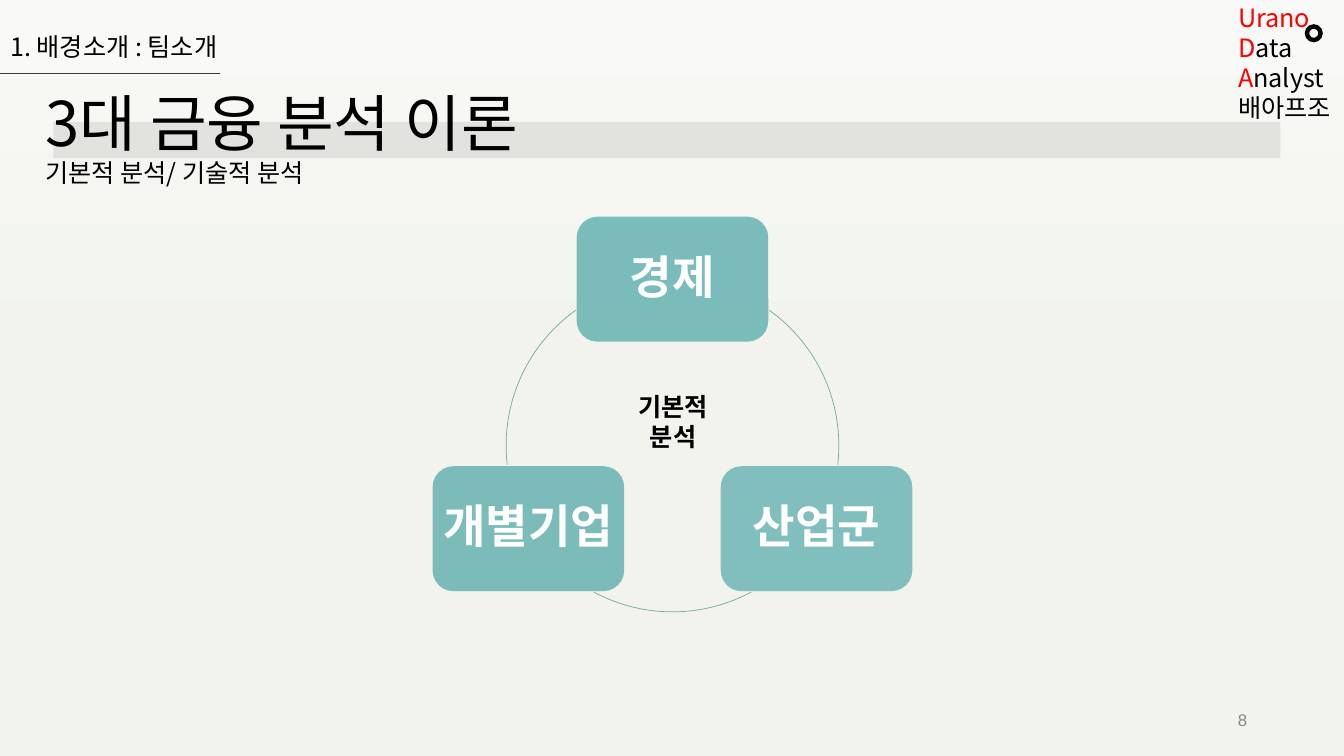
import copy
import math
from dataclasses import dataclass

import lxml.etree
import pptx
import pptx.dml.color
import pptx.enum.shapes
import pptx.enum.text
import pptx.oxml.ns
import pptx.util

Inches = pptx.util.Inches
Pt = pptx.util.Pt
qn = pptx.oxml.ns.qn
SHAPE = pptx.enum.shapes.MSO_SHAPE
ALIGN = pptx.enum.text.PP_ALIGN
ANCHOR = pptx.enum.text.MSO_ANCHOR


@dataclass(frozen=True)
class Theme:
    font: str = "Noto Sans CJK KR"
    number_font: str = "Arial"
    ink: str = "000000"
    white: str = "FFFFFF"
    accent: str = "FF0000"
    muted: str = "888888"
    node: str = "49A6A6"
    arc: str = "75A99E"
    dark: str = "3A3838"
    background: tuple = ("F9FAF7", "F1F3EC", "EFF2EA")
    title: int = 44
    label: int = 33
    text: int = 18
    small: int = 12
    hairline: float = 0.5


def rgb(value):
    return pptx.dml.color.RGBColor.from_string(value)


class SlideBuilder:
    def __init__(self, slide, theme):
        self.s = slide
        self.theme = theme

    def background(self):
        fill = self.s.background.fill
        fill.gradient()
        fill.gradient_angle = 270
        first = next(self.s.element.iter(qn("a:gs")))
        first.addnext(copy.deepcopy(first))
        for i, (stop, color) in enumerate(zip(fill.gradient_stops, self.theme.background)):
            stop.position = i / 2
            stop.color.rgb = rgb(color)

    def format_run(self, r, size, color, font=None, bold=False):
        r.font.size = Pt(size)
        r.font.bold = bold
        r.font.color.rgb = rgb(color)
        r.font.name = font or self.theme.font

    def apply_korean_fonts(self):
        for latin in list(self.s.element.iter(qn("a:latin"))):
            ea = copy.deepcopy(latin)
            ea.tag = qn("a:ea")
            latin.addnext(ea)

    def frame(self, tf, anchor=ANCHOR.TOP, inset=0.05, wrap=True):
        tf.word_wrap = wrap
        tf.auto_size = pptx.enum.text.MSO_AUTO_SIZE.NONE
        tf.vertical_anchor = anchor
        tf.margin_left = tf.margin_right = Inches(inset)
        tf.margin_top = tf.margin_bottom = Inches(0.05)

    def fill_lines(self, tf, lines, align=ALIGN.LEFT, spacing=1.0):
        for i, runs in enumerate(lines):
            p = tf.paragraphs[0] if i == 0 else tf.add_paragraph()
            p.alignment = align
            p.line_spacing = spacing
            p.space_before = Pt(0)
            for text, style in runs:
                r = p.add_run()
                r.text = text
                self.format_run(r, **style)

    def text(self, box, lines, anchor=ANCHOR.TOP, wrap=True, **layout):
        sp = self.s.shapes.add_textbox(*map(Inches, box))
        self.frame(sp.text_frame, anchor, wrap=wrap)
        self.fill_lines(sp.text_frame, lines, **layout)

    def title(self, box, lines):
        sp = self.s.shapes.title
        sp.left, sp.top, sp.width, sp.height = map(Inches, box)
        self.frame(sp.text_frame, ANCHOR.BOTTOM)
        self.fill_lines(sp.text_frame, lines, spacing=0.9)
        self.s.shapes.element.append(sp.element)

    def shape(self, kind, box, color, opacity=100):
        sp = self.s.shapes.add_shape(kind, *map(Inches, box))
        sp.shadow.inherit = False
        sp.fill.solid()
        sp.fill.fore_color.rgb = rgb(color)
        sp.line.fill.background()
        if opacity < 100:
            clr = next(sp.element.spPr.iter(qn("a:srgbClr")))
            lxml.etree.SubElement(clr, qn("a:alpha")).set("val", str(opacity * 1000))
        return sp

    def node(self, center, size, label, opacity):
        (x, y), (w, h) = center, size
        box = (x - w / 2, y - h / 2, w, h)
        sp = self.shape(SHAPE.ROUNDED_RECTANGLE, box, self.theme.node, opacity)
        self.frame(sp.text_frame, ANCHOR.MIDDLE, inset=0)
        style = dict(size=self.theme.label, color=self.theme.white, bold=True)
        self.fill_lines(sp.text_frame, [[(label, style)]], ALIGN.CENTER, 0.9)

    def arc(self, center, radius, start, end, steps=40):
        angles = [start + (end - start) * i / steps for i in range(steps + 1)]
        points = [tuple(map(Inches, polar(center, radius, a))) for a in angles]
        fb = self.s.shapes.build_freeform(*points[0])
        fb.add_line_segments(points[1:], close=False)
        sp = fb.convert_to_shape()
        sp.shadow.inherit = False
        sp.fill.background()
        sp.line.color.rgb = rgb(self.theme.arc)
        sp.line.width = Pt(self.theme.hairline)

    def line(self, x1, y1, x2, y2):
        cxn = self.s.shapes.add_connector(
            pptx.enum.shapes.MSO_CONNECTOR.STRAIGHT, *map(Inches, (x1, y1, x2, y2)))
        cxn.line.color.rgb = rgb(self.theme.dark)
        cxn.line.width = Pt(self.theme.hairline)
        lxml.etree.SubElement(cxn.element.spPr, qn("a:effectLst"))


def polar(center, radius, degrees):
    a = math.radians(degrees)
    return center[0] + radius * math.cos(a), center[1] + radius * math.sin(a)


def main():
    prs = pptx.Presentation()
    prs.slide_width, prs.slide_height = Inches(13.33), Inches(7.5)
    theme = Theme()
    b = SlideBuilder(prs.slides.add_slide(prs.slide_layouts[5]), theme)
    b.background()

    body = dict(size=theme.text, color=theme.ink)
    red = dict(size=theme.text, color=theme.accent)
    b.text((12.23, -0.03, 1.06, 1.3), [
        [("Urano ", red), ("D", red), ("ata ", body), ("A", red), ("nalyst", body)],
        [("배아프조", body)],
    ])
    b.shape(SHAPE.DONUT, (12.94, 0.24, 0.18, 0.18), theme.ink)

    center, radius = (6.67, 4.42), 1.65
    nodes = [("경제", -90, 71), ("산업군", 30, 67), ("개별기업", 150, 70)]
    for label, angle, opacity in nodes:
        b.node(polar(center, radius, angle), (1.9, 1.24), label, opacity)
    for start, end in [(-54.4, 6.6), (61.7, 118.3), (173.4, 234.4)]:
        b.arc(center, radius, start, end)

    bold = dict(body, bold=True)
    b.text((5.62, 3.83, 2.11, 0.79), [[("기본적", bold)], [("분석", bold)]],
           align=ALIGN.CENTER)
    number = dict(size=theme.small, color=theme.muted, font=theme.number_font)
    b.text((12.21, 7, 0.21, 0.29), [[("8", number)]], ANCHOR.MIDDLE,
           wrap=False, align=ALIGN.RIGHT)
    b.text((0.05, 0.22, 2.26, 0.51), [[("1. 배경소개 : 팀소개", body)]],
           ANCHOR.MIDDLE, spacing=0.9)
    b.line(0, 0.73, 2.18, 0.73)
    b.shape(SHAPE.RECTANGLE, (0.53, 1.21, 12.17, 0.36), theme.dark, 11)
    b.title((0.4, 0.24, 11.5, 1.67), [
        [("3대 금융 분석 이론", dict(size=theme.title, color=theme.ink))],
        [("기본적 분석/ 기술적 분석", body)],
    ])
    b.apply_korean_fonts()
    prs.save("out.pptx")


if __name__ == "__main__":
    main()
